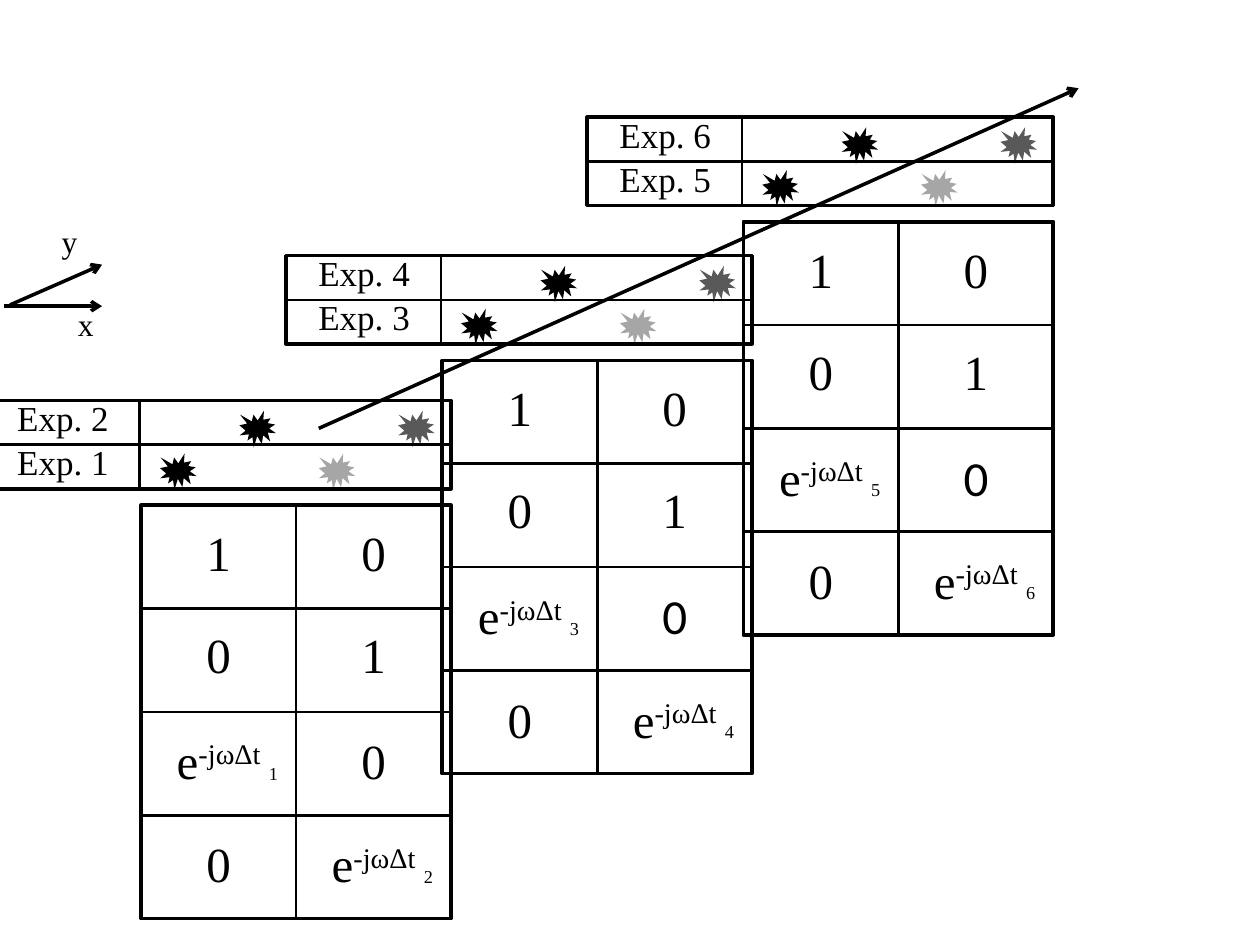
from lxml import etree
from pptx import Presentation
from pptx.dml.color import RGBColor
from pptx.enum import shapes, text
from pptx.oxml.ns import qn
from pptx.util import Inches, Pt

COLORS = {"black": "000000", "dark": "595959", "light": "A6A6A6"}
SERIF, SANS = "Times New Roman", "Calibri"

# Each block: left and top of its matrix, first experiment number,
# font of the zero beside the first exponential
BLOCKS = [
    (1.12, 4.01, 1, SERIF),
    (3.51, 2.86, 3, SANS),
    (5.90, 1.76, 5, SANS),
]
MATRIX = [("1", "0"), ("0", "1"), ("e", "0"), ("0", "e")]
EXPONENT = "-jωΔt"
STARS = ["black", "black", "light", "dark"]
ARROWS = [
    ((2.53, 3.40), (8.56, 0.70)),
    ((0.03, 2.43), (0.81, 2.43)),
    ((0.08, 2.42), (0.81, 2.10)),
]
AXIS_LABELS = [("x", 0.52, 2.37), ("y", 0.39, 1.71)]

# Sizes in inches
CELL_W, CELL_H = 1.23, 0.82
TEXT_DY = (0.09, 0.08, 0.10, 0.10)
ROW_H, SIGNAL_W = 0.35, 2.47
HEAD_DX, HEAD_DY = -1.24, -0.83
STAR, STAR_STEP = 0.29, 0.63


def rgb(name):
    return RGBColor.from_string(COLORS[name])


def add_rect(parent, x, y, w, h, weight=1.5):
    sp = parent.shapes.add_shape(shapes.MSO_SHAPE.RECTANGLE,
                                 Inches(x), Inches(y), Inches(w), Inches(h))
    sp.shadow.inherit = False
    sp.fill.background()
    sp.line.color.rgb = rgb("black")
    sp.line.width = Pt(weight)


def add_star(parent, x, y, color):
    sp = parent.shapes.add_shape(shapes.MSO_SHAPE.EXPLOSION1,
                                 Inches(x), Inches(y), Inches(STAR), Inches(STAR))
    sp.shadow.inherit = False
    sp.fill.solid()
    sp.fill.fore_color.rgb = rgb(color)
    sp.line.fill.background()


def add_text(parent, x, y, w, h, parts, size, font=SERIF,
             align=text.PP_ALIGN.CENTER):
    """Add one line made of (string, baseline percent) parts."""
    tf = parent.shapes.add_textbox(Inches(x), Inches(y),
                                   Inches(w), Inches(h)).text_frame
    tf.word_wrap = True
    tf.auto_size = text.MSO_AUTO_SIZE.SHAPE_TO_FIT_TEXT
    p = tf.paragraphs[0]
    p.alignment = align
    for string, baseline in parts:
        r = p.add_run()
        r.text = string
        r.font.size = Pt(size)
        r.font.name = font
        r.font.color.rgb = rgb("black")
        if baseline:
            r.font._element.set("baseline", str(baseline * 1000))


def add_arrow(parent, start, end):
    line = parent.shapes.add_connector(shapes.MSO_CONNECTOR.STRAIGHT,
                                       *map(Inches, start + end))
    line.line.color.rgb = rgb("black")
    line.line.width = Pt(2)
    etree.SubElement(line.line._get_or_add_ln(), qn("a:tailEnd"), type="arrow")
    etree.SubElement(line._element.spPr, qn("a:effectLst"))


def add_matrix(parent, left, top, first, zero_font):
    add_rect(parent, left, top, 2 * CELL_W, 4 * CELL_H, 2)
    number = first
    for row, values in enumerate(MATRIX):
        for col, value in enumerate(values):
            x, y = left + col * CELL_W, top + row * CELL_H
            add_rect(parent, x, y, CELL_W, CELL_H)
            text_y = y + TEXT_DY[row]
            if value == "e":
                add_text(parent, x - 0.13, text_y, 1.49, 0.57,
                         [("e", 0), (EXPONENT, 30)], 28)
                add_text(parent, x + 0.78, y + 0.18, 0.54, 0.3,
                         [(str(number), -25)], 18)
                number += 1
            else:
                font = zero_font if (row, col) == (2, 1) else SERIF
                add_text(parent, x + 0.29, text_y, 0.65, 0.57,
                         [(value, 0)], 28, font)


def add_experiments(parent, left, top, first):
    x, y = left + HEAD_DX, top + HEAD_DY
    # Stars alternate between the lower and the upper row
    for i, color in enumerate(STARS):
        add_star(parent, left + 0.15 + i * STAR_STEP,
                 y + 0.42 - (i % 2) * 0.34, color)
    add_rect(parent, x, y, CELL_W + SIGNAL_W, 2 * ROW_H, 2)
    for row in range(2):
        row_y = y + row * ROW_H
        add_rect(parent, x, row_y, CELL_W, ROW_H)
        add_rect(parent, x + CELL_W, row_y, SIGNAL_W, ROW_H)
        add_text(parent, x + 0.05, row_y - 0.08, 1.14, 0.44,
                 [(f"Exp. {first + 1 - row}", 0)], 20)


def main():
    prs = Presentation()
    prs.slide_width, prs.slide_height = Inches(10), Inches(7.5)
    s = prs.slides.add_slide(prs.slide_layouts[6])

    # Blocks of experiments and matrices
    for left, top, first, zero_font in BLOCKS:
        group = s.shapes.add_group_shape()
        add_matrix(group, left, top, first, zero_font)
        add_experiments(group, left, top, first)

    # Diagonal arrow and axes
    for start, end in ARROWS:
        add_arrow(s, start, end)
    for label, x, y in AXIS_LABELS:
        add_text(s, x, y, 0.43, 0.4, [(label, 0)], 18,
                 align=text.PP_ALIGN.LEFT)

    prs.save("out.pptx")


if __name__ == "__main__":
    main()
